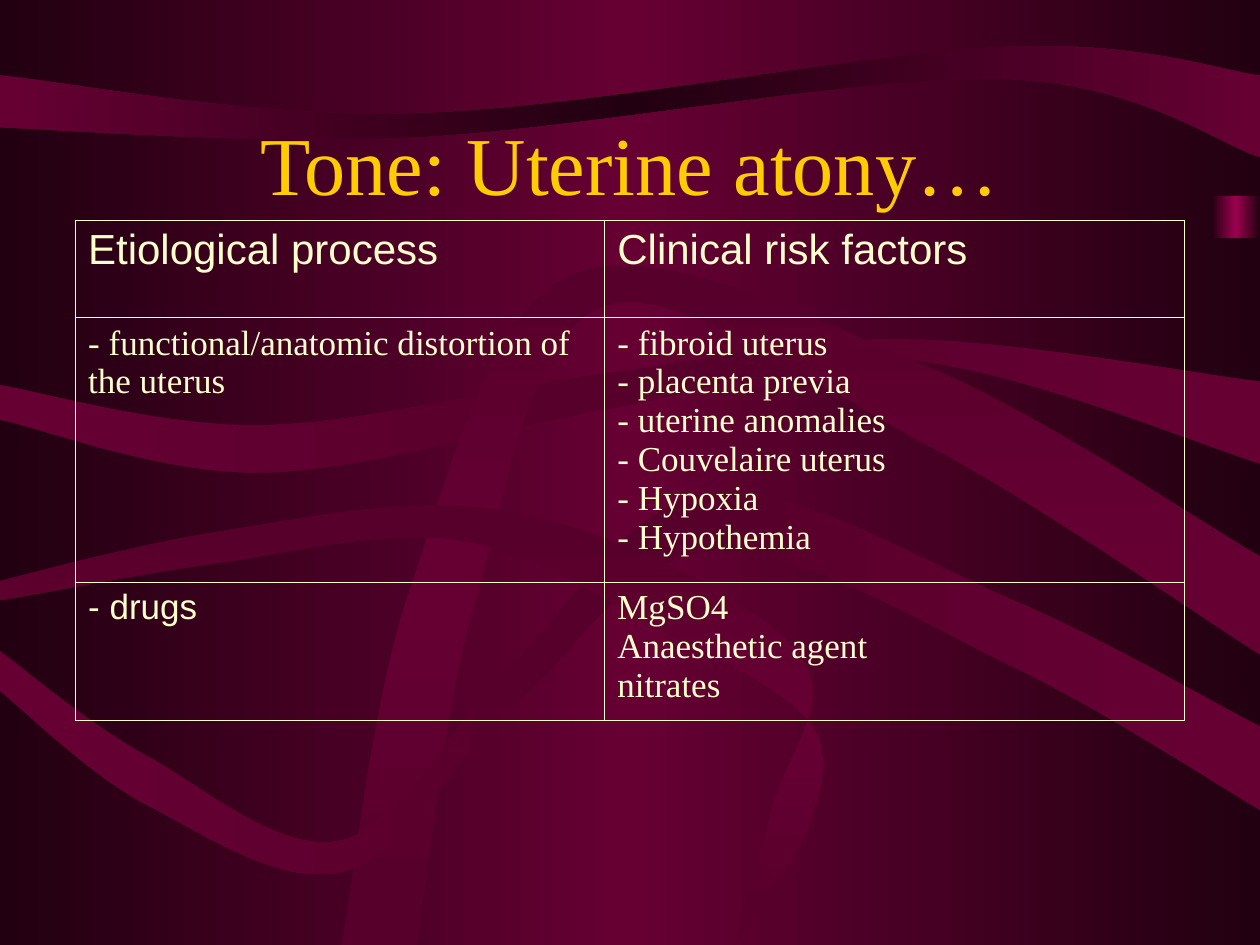
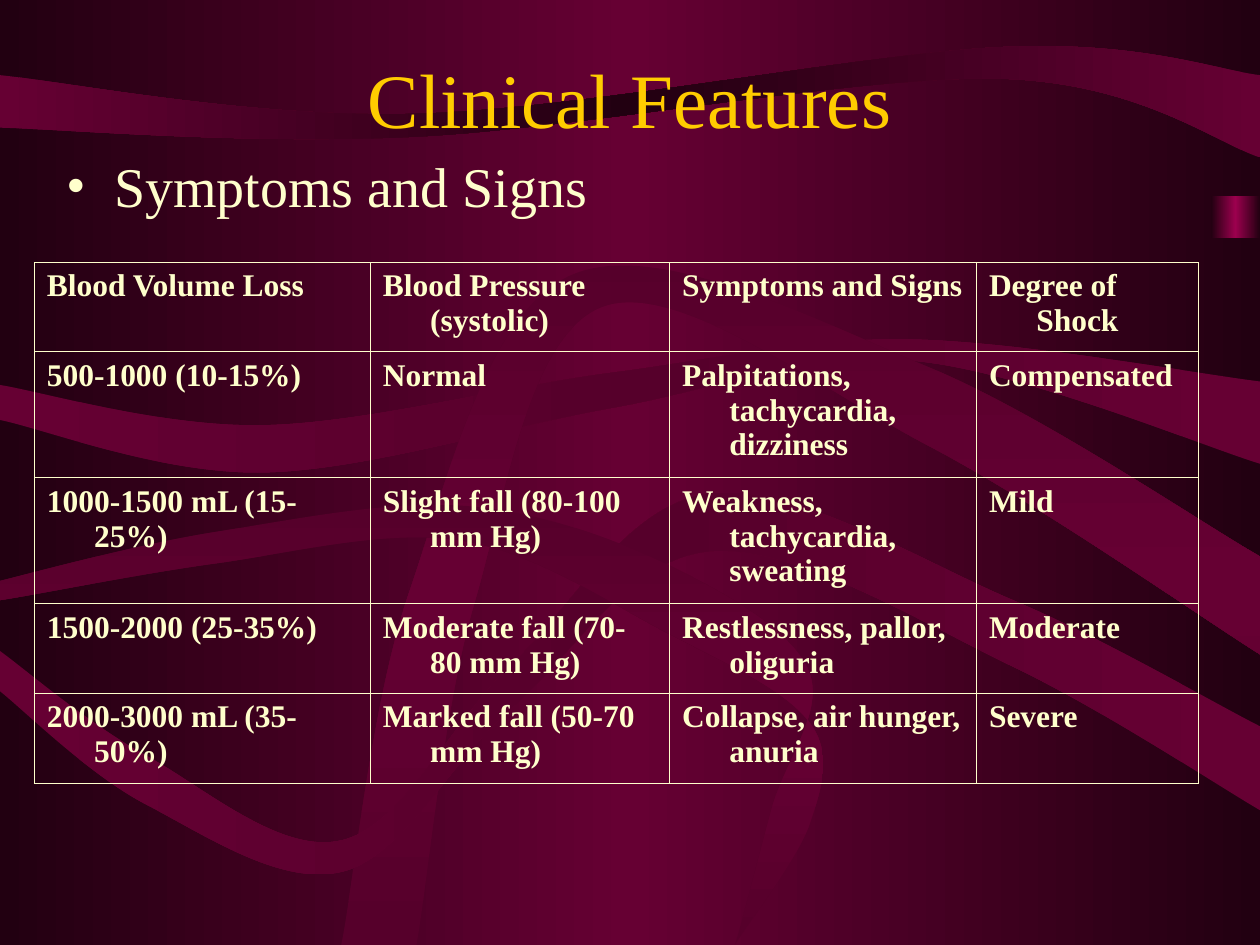
from copy import deepcopy

from pptx import Presentation
from pptx.dml.color import RGBColor as Rgb
from pptx.enum.shapes import MSO_SHAPE as Preset
from pptx.enum.text import MSO_ANCHOR as Anchor, MSO_AUTO_SIZE as AutoSize, PP_ALIGN as Align
from pptx.oxml import parse_xml
from pptx.oxml.ns import nsdecls
from pptx.util import Pt

COLORS = {
    "night": "220011",
    "wine": "660033",
    "plum": "56002B",
    "glow": "9C004E",
    "gold": "FFCC00",
    "cream": "FFFFCC",
}
SERIF, SANS = "Times New Roman", "Arial"
HANGING = 27

RIBBONS = [
    ("wine", "night", 0, [(0, 43, 73), (240, 65, 78), (571, 27, 45), (720, 43, 90)]),
    ("wine", "plum", 0, [(0, 220, 240), (150, 243, 270), (350, 213, 233), (520, 194, 206),
                         (720, 218, 265)]),
    ("plum", "wine", 90, [(195, 540, 540, 238), (234, 338, 345, 271), (327, 157, 175, 345),
                          (531, 210, 255), (720, 318, 374)]),
    ("wine", "plum", 0, [(0, 372, 395), (84, 432, 460), (196, 480, 498), (293, 379, 404),
                         (406, 282, 315), (579, 343, 381), (720, 415, 463)]),
    ("plum", "wine", 90, [(0, 332, 343), (123, 304, 322), (264, 289, 309), (382, 323, 362),
                          (462, 383, 412), (441, 462, 470, 463), (420, 540, 540)]),
]

HEADER = {"name": SANS, "size": Pt(24)}
SERIF_CELL = {"name": SERIF, "size": Pt(20)}
SANS_CELL = {"name": SANS, "size": Pt(20)}
BOLD_CELL = {"name": SERIF, "size": Pt(18), "bold": True}

ATONY_ROWS = [
    [("Etiological process", HEADER), ("Clinical risk factors", HEADER)],
    [("- functional/anatomic distortion of the uterus", SERIF_CELL),
     ("- fibroid uterus\n- placenta previa\n- uterine anomalies\n"
      "- Couvelaire uterus\n- Hypoxia\n- Hypothemia", SERIF_CELL)],
    [("- drugs", SANS_CELL), ("MgSO4\nAnaesthetic agent\nnitrates", SERIF_CELL)],
]
SHOCK_ROWS = [
    ["Blood Volume Loss", "Blood Pressure (systolic)", "Symptoms and Signs", "Degree of Shock"],
    ["500-1000 (10-15%)", "Normal", "Palpitations, tachycardia, dizziness", "Compensated"],
    ["1000-1500 mL (15-25%)", "Slight fall (80-100 mm Hg)",
     "Weakness, tachycardia, sweating", "Mild"],
    ["1500-2000 (25-35%)", "Moderate fall (70-80 mm Hg)",
     "Restlessness, pallor, oliguria", "Moderate"],
    ["2000-3000 mL (35-50%)", "Marked fall (50-70 mm Hg)",
     "Collapse, air hunger, anuria", "Severe"],
]


def format_font(font, color, values):
    font.color.rgb = Rgb.from_string(COLORS[color])
    for name, value in values.items():
        setattr(font, name, value)


def place(shape, box):
    for name, value in zip(("left", "top", "width", "height"), box):
        setattr(shape, name, Pt(value))


def hang(para):
    properties = para._p.get_or_add_pPr()
    properties.set("marL", str(Pt(HANGING)))
    properties.set("indent", str(-Pt(HANGING)))
    return properties


def fill_gradient(fill, element, edge, middle, angle=0):
    fill.gradient()
    fill.gradient_angle = angle
    for stop, color, position in zip(fill.gradient_stops, (edge, middle), (0, 0.5)):
        stop.color.rgb = Rgb.from_string(COLORS[color])
        stop.position = position
    stop_list = element.xpath(".//a:gsLst")[0]
    last = deepcopy(stop_list[0])
    last.set("pos", "100000")
    stop_list.append(last)


def smooth(points):
    padded = [points[0], *points, points[-1]]
    curves = []
    for before, start, end, after in zip(padded, padded[1:], padded[2:], padded[3:]):
        first = [round(s + (e - b) / 6) for b, s, e in zip(before, start, end)]
        second = [round(e - (a - s) / 6) for s, e, a in zip(start, end, after)]
        curves.append((*first, *second, *end))
    return curves


def outline(knots):
    upper = [(x, top) for x, top, *_ in knots]
    lower = [(rest[0] if rest else x, bottom) for x, _, bottom, *rest in reversed(knots)]
    return [upper[0], *smooth(upper), lower[0], *smooth(lower)]


def draw_ribbon(page, knots):
    segments = outline(knots)
    points = [pair for segment in segments for pair in zip(segment[::2], segment[1::2])]
    builder = page.shapes.build_freeform(*points[0], scale=Pt(1))
    builder.add_line_segments(points[1:], close=True)
    ribbon = builder.convert_to_shape()
    lines = iter(ribbon.element.xpath(".//a:lnTo"))
    for segment in segments[1:]:
        parts = [next(lines) for _ in range(len(segment) // 2)]
        if len(parts) == 3:
            curve = parse_xml(f"<a:cubicBezTo {nsdecls('a')}/>")
            parts[0].addprevious(curve)
            for part in parts:
                curve.append(part[0])
                part.getparent().remove(part)
    return ribbon


def decorate_master(master, page):
    fill_gradient(master.background.fill, master.element, "night", "wine")
    tab = page.shapes.add_shape(Preset.RECTANGLE, Pt(692), Pt(112), Pt(28), Pt(24))
    decor = [(tab, "night", "glow", 0)]
    for edge, middle, angle, knots in RIBBONS:
        decor.append((draw_ribbon(page, knots), edge, middle, angle))
    for position, (shape, edge, middle, angle) in enumerate(decor, 2):
        shape.shadow.inherit = False
        shape.line.fill.background()
        fill_gradient(shape.fill, shape.element, edge, middle, angle)
        master.element.cSld.spTree.insert(position, shape.element)


def set_title(page, box, text, size):
    title = page.shapes.title
    place(title, box)
    frame = title.text_frame
    frame.text = text
    for name, value in {"vertical_anchor": Anchor.MIDDLE, "word_wrap": True,
                        "auto_size": AutoSize.NONE}.items():
        setattr(frame, name, value)
    para = frame.paragraphs[0]
    para.alignment = Align.CENTER
    format_font(para.font, "gold", {"name": SERIF, "size": Pt(size)})


def set_bullet(page, box, text):
    body = page.placeholders[1]
    place(body, box)
    body.text_frame.text = text
    body.text_frame.auto_size = AutoSize.NONE
    para = body.text_frame.paragraphs[0]
    para.space_before = Pt(0)
    properties = hang(para)
    for xml in (f'<a:buClr {nsdecls("a")}><a:srgbClr val="{COLORS["cream"]}"/></a:buClr>',
                f'<a:buFont {nsdecls("a")} typeface="{SERIF}"/>',
                f'<a:buChar {nsdecls("a")} char="•"/>'):
        properties.append(parse_xml(xml))
    format_font(para.font, "cream", {"name": SERIF, "size": Pt(32)})


def set_borders(cell, widths):
    properties = cell._tc.get_or_add_tcPr()
    for side, width in widths.items():
        properties.append(parse_xml(
            f'<a:ln{side} {nsdecls("a")} w="{Pt(width)}"><a:solidFill>'
            f'<a:srgbClr val="{COLORS["cream"]}"/></a:solidFill></a:ln{side}>'))


def add_grid(page, corner, columns, heights, rows, outer, inner=0.45, hanging=False):
    left, top = corner
    table = page.shapes.add_table(len(heights), len(columns), Pt(left), Pt(top),
                                  Pt(sum(columns)), Pt(sum(heights))).table
    table.first_row = table.horz_banding = False
    for column, width in zip(table.columns, columns):
        column.width = Pt(width)
    for row, height in zip(table.rows, heights):
        row.height = Pt(height)
    for y, row in enumerate(rows):
        for x, (text, style) in enumerate(row):
            cell = table.cell(y, x)
            on_edge = {"L": x == 0, "R": x == len(columns) - 1,
                       "T": y == 0, "B": y == len(heights) - 1}
            set_borders(cell, {side: outer if edge else inner for side, edge in on_edge.items()})
            cell.fill.background()
            cell.text_frame.text = text
            for para in cell.text_frame.paragraphs:
                if hanging:
                    hang(para)
                for span in para.runs:
                    format_font(span.font, "cream", style)


def build_atony(page):
    set_title(page, (54, 48, 612, 90), "Tone: Uterine atony…", 47)
    add_grid(page, (43.2, 126), (302.4, 331.2), (55.4, 151.2, 79.2), ATONY_ROWS, outer=1.08)


def build_features(page):
    set_title(page, (36, 21.6, 648, 68.4), "Clinical Features", 44)
    set_bullet(page, (31, 83, 648, 73), "Symptoms and Signs")
    rows = [[(text, BOLD_CELL) for text in row] for row in SHOCK_ROWS]
    add_grid(page, (19.6, 150), (192, 171, 175.4, 126.8), (51, 72, 72, 51, 51.5), rows,
             outer=0.45, hanging=True)


def main():
    deck = Presentation()
    deck.slide_width, deck.slide_height = Pt(720), Pt(540)
    atony = deck.slides.add_slide(deck.slide_layouts[5])
    features = deck.slides.add_slide(deck.slide_layouts[1])
    decorate_master(deck.slide_master, atony)
    build_atony(atony)
    build_features(features)
    deck.save("out.pptx")


if __name__ == "__main__":
    main()
